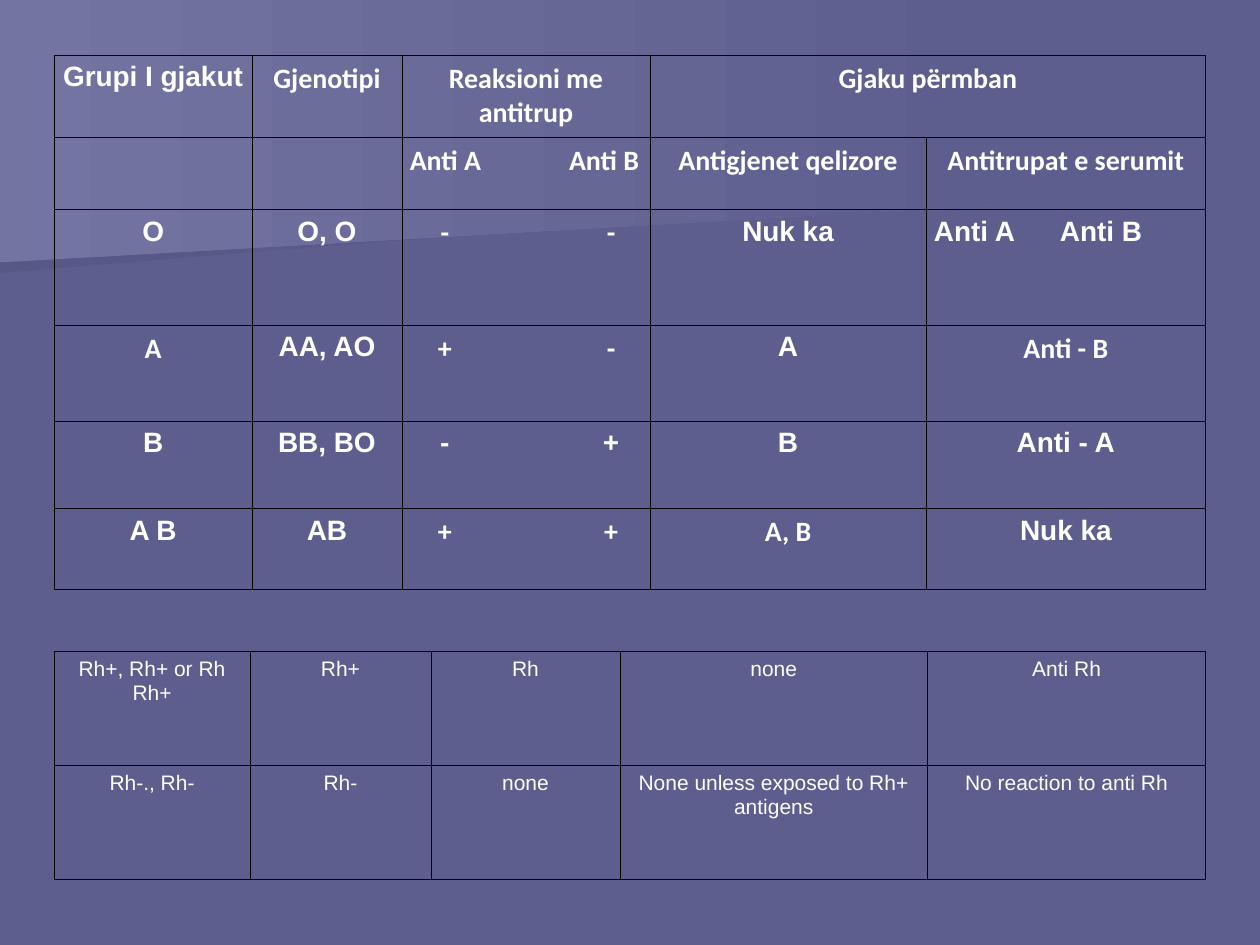
import pptx
import pptx.dml.color
import pptx.enum.text
import pptx.oxml
import pptx.oxml.ns
import pptx.util
import lxml.etree

Pt = pptx.util.Pt
ALIGN = pptx.enum.text.PP_ALIGN

BLOOD_ROWS = [
    ["Grupi I gjakut", "Gjenotipi", "Reaksioni me antitrup", "Gjaku përmban", ""],
    ["", "", "Anti A\tAnti B", "Antigjenet qelizore", "Antitrupat e serumit"],
    ["O", "O, O", "\t-\t-", "Nuk ka", "Anti A\tAnti B"],
    ["A", "AA, AO", "\t+\t-", "A", "Anti - B"],
    ["B", "BB, BO", "\t-\t+", "B", "Anti - A"],
    ["A B", "AB", "\t+\t+", "A, B", "Nuk ka"],
]
CALIBRI_CELLS = {(0, 1), (0, 2), (0, 3), (1, 2), (1, 3), (1, 4),
                 (2, 2), (3, 0), (3, 2), (3, 4), (5, 2), (5, 3)}
REACTION_STOPS = [(20, "ctr"), (115, "ctr")]
BLOOD_STOPS = {(1, 2): [(91, "l")], (2, 4): [(72, "l")],
               **{(row, 2): REACTION_STOPS for row in range(2, 6)}}

RHESUS_ROWS = [
    ["Rh+, Rh+ or Rh Rh+", "Rh+", "Rh", "none", "Anti Rh"],
    ["Rh-., Rh-", "Rh-", "none", "None unless exposed to Rh+ antigens",
     "No reaction to anti Rh"],
]


def color(value):
    return pptx.dml.color.RGBColor.from_string(value)


def add_child(parent, tag, **attributes):
    return lxml.etree.SubElement(parent, pptx.oxml.ns.qn(tag), attributes)


def add_band(slide, points, start, end):
    corners = [(Pt(x), Pt(y)) for x, y in points]
    builder = slide.shapes.build_freeform(*corners[0])
    builder.add_line_segments(corners[1:], close=True)
    band = builder.convert_to_shape()
    band.shadow.inherit = False
    band.line.fill.background()
    band.fill.gradient()
    band.fill.gradient_angle = 0
    for stop, value in zip(band.fill.gradient_stops, (start, end)):
        stop.color.rgb = color(value)


def style_cell(cell):
    cell.margin_left = cell.margin_right = Pt(4.5)
    cell.margin_top = cell.margin_bottom = Pt(3.6)
    properties = cell._tc.get_or_add_tcPr()
    for side in ("a:lnL", "a:lnR", "a:lnT", "a:lnB"):
        border = add_child(properties, side, w=str(Pt(0.45)))
        add_child(add_child(border, "a:solidFill"), "a:srgbClr", val="000000")
    cell.fill.background()


def write_cell(cell, text, size, bold, font, stops):
    para = cell.text_frame.paragraphs[0]
    para.alignment = ALIGN.LEFT if stops else ALIGN.CENTER
    if stops:
        tabs = add_child(para._p.get_or_add_pPr(), "a:tabLst")
        for position, kind in stops:
            add_child(tabs, "a:tab", pos=str(Pt(position)), algn=kind)
    span = para.add_run()
    span.text = text
    span.font.name = font
    span.font.size = Pt(size)
    span.font.bold = bold
    span.font.color.rgb = color("FFFFFF")


def add_grid(slide, top, widths, heights, rows, size, bold=False,
             calibri=(), stops=None):
    frame = slide.shapes.add_table(len(rows), len(widths), Pt(31), Pt(top),
                                   Pt(sum(widths)), Pt(sum(heights)))
    table = frame.table
    table.first_row = table.horz_banding = False
    for column, width in zip(table.columns, widths):
        column.width = Pt(width)
    for line, height in zip(table.rows, heights):
        line.height = Pt(height)
    for row, texts in enumerate(rows):
        for col, text in enumerate(texts):
            cell = table.cell(row, col)
            style_cell(cell)
            if text:
                font = "Calibri" if (row, col) in calibri else "Arial"
                write_cell(cell, text, size, bold, font, (stops or {}).get((row, col)))
    return table


def main():
    deck = pptx.Presentation()
    deck.slide_width, deck.slide_height = Pt(720), Pt(540)
    slide = deck.slides.add_slide(deck.slide_layouts[6])
    slide.background.fill.solid()
    slide.background.fill.fore_color.rgb = color("5E5E8E")

    add_band(slide, [(560, 110), (0, 156), (0, 73), (561, 73), (560, 92)],
             "585886", "5E5E8E")
    add_band(slide, [(570, 117), (0, 150), (0, 0), (570, 0)], "7474A2", "5E5E8E")

    blood = add_grid(slide, 31.5, [113, 85.7, 141.8, 157.7, 159.8],
                     [46.8, 41.5, 66, 54.8, 50.2, 46.3], BLOOD_ROWS, 16, True,
                     CALIBRI_CELLS, BLOOD_STOPS)
    blood.cell(0, 3).merge(blood.cell(0, 4))
    add_grid(slide, 372.2, [111.8, 103.5, 108, 175.7, 159], [65.2, 65.2],
             RHESUS_ROWS, 12)
    deck.save("out.pptx")


if __name__ == "__main__":
    main()
